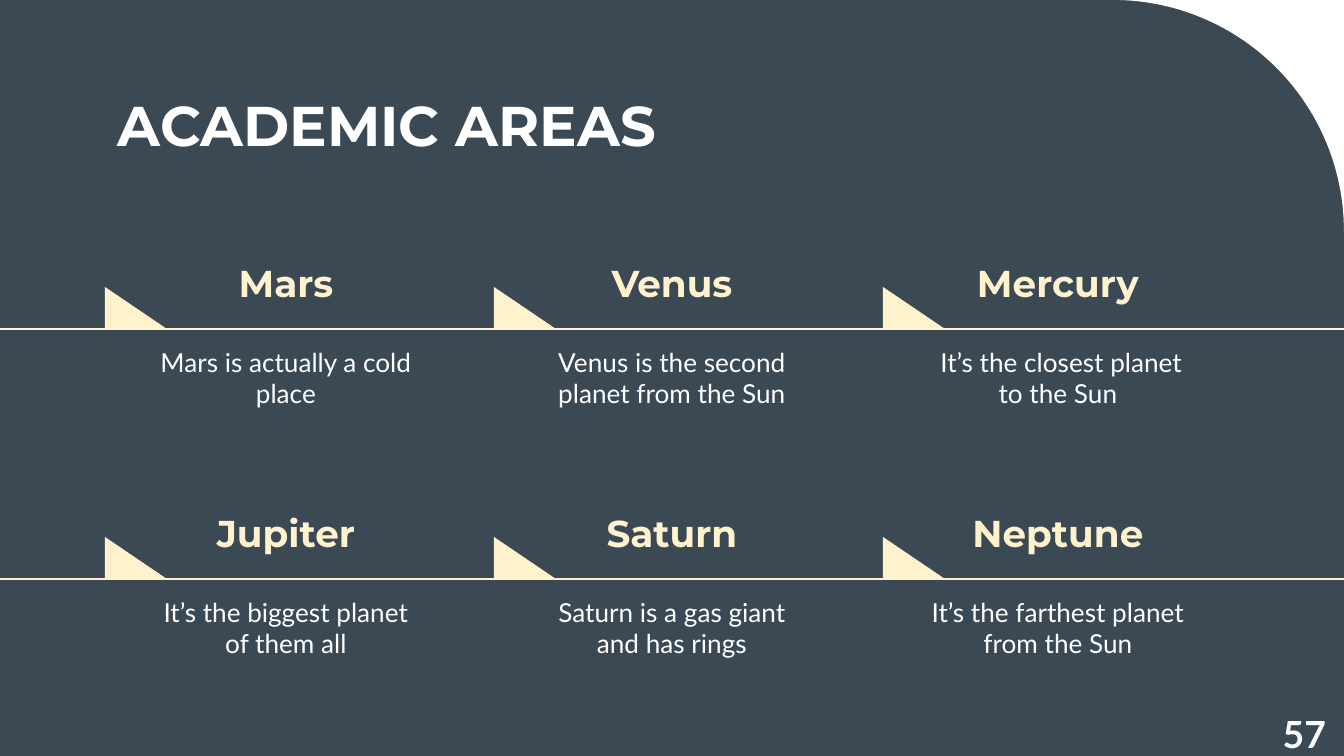
from math import cos, pi, sin

from lxml.etree import SubElement
from pptx import Presentation
from pptx.dml.color import RGBColor
from pptx.enum.shapes import MSO_CONNECTOR, MSO_SHAPE
from pptx.enum.text import MSO_ANCHOR, PP_ALIGN
from pptx.oxml.ns import qn
from pptx.util import Emu, Pt

WIDE, HIGH = 1344, 756
SLATE, CREAM, WHITE = "3B4954", "FFF2CC", "FFFFFF"
INSET = 13
ROWS = [
    [("Mars", "Mars is actually a cold place"),
     ("Venus", "Venus is the second planet from the Sun"),
     ("Mercury", " It’s the closest planet to the Sun")],
    [("Jupiter", "It’s the biggest planet of them all"),
     ("Saturn", "Saturn is a gas giant and has rings"),
     ("Neptune", "It’s the farthest planet from the Sun")],
]


def px(num):
    return Emu(round(num * 914400 / 134.4))


def color(code):
    return RGBColor.from_string(code)


def paint(shape, code):
    """Fill a shape flat, without outline or shadow."""
    shape.shadow.inherit = False
    shape.fill.solid()
    shape.fill.fore_color.rgb = color(code)
    shape.line.fill.background()


def add_text(slide, text, box, size=14, font="Lato", code=WHITE, bold=False,
             align=PP_ALIGN.CENTER, anchor=MSO_ANCHOR.TOP):
    frame = slide.shapes.add_textbox(*map(px, box)).text_frame
    frame.word_wrap = True
    frame.vertical_anchor = anchor
    frame.margin_left = frame.margin_right = px(INSET)
    frame.margin_top = frame.margin_bottom = px(INSET)
    para = frame.paragraphs[0]
    para.alignment = align
    run = para.add_run()
    run.text = text
    run.font.size = Pt(size)
    run.font.name = font
    run.font.bold = bold
    run.font.color.rgb = color(code)


def add_corner(slide, radius=231, steps=60):
    """Cut the top right corner of the slide to a white rounded edge."""
    left = WIDE - radius
    turns = [pi / 2 * step / steps for step in range(steps + 1)]
    arc = [(px(left + radius * sin(turn)), px(radius - radius * cos(turn)))
           for turn in turns]
    pen = slide.shapes.build_freeform(*arc[0])
    pen.add_line_segments(arc[1:] + [(px(WIDE), 0)], close=True)
    paint(pen.convert_to_shape(), WHITE)


def add_rule(slide, y):
    rule = slide.shapes.add_connector(
        MSO_CONNECTOR.STRAIGHT, px(-52), px(y), px(1355), px(y))
    rule.line.color.rgb = color(CREAM)
    rule.line.width = Pt(1.5)
    SubElement(rule._element.spPr, qn("a:effectLst"))


def add_flag(slide, x, y):
    """Stand a triangle on the rule at y."""
    flag = slide.shapes.add_shape(
        MSO_SHAPE.RIGHT_TRIANGLE, px(x), px(y - 42), px(62), px(42))
    paint(flag, CREAM)


def add_row(slide, y, areas):
    add_rule(slide, y)
    for col, (name, note) in enumerate(areas):
        left = 146 + 386 * col
        add_flag(slide, 105 + 389 * col, y)
        add_text(slide, name, (left, y - 82, 280, 63), size=20,
                 font="Montserrat", code=CREAM, bold=True)
        add_text(slide, note, (left, y + 4, 280, 79))


def main():
    deck = Presentation()
    deck.slide_width, deck.slide_height = px(WIDE), px(HIGH)
    slide = deck.slides.add_slide(deck.slide_layouts[6])
    slide.background.fill.solid()
    slide.background.fill.fore_color.rgb = color(SLATE)
    add_corner(slide)
    add_text(slide, "ACADEMIC AREAS", (105, 82, 1134, 85), size=30,
             font="Montserrat", bold=True, align=PP_ALIGN.LEFT,
             anchor=MSO_ANCHOR.MIDDLE)
    for row, areas in enumerate(ROWS):
        add_row(slide, 329 + 250 * row, areas)
    add_text(slide, "57", (1258, 698, 81, 58), size=20, bold=True,
             align=PP_ALIGN.RIGHT)
    deck.save("out.pptx")


if __name__ == "__main__":
    main()
